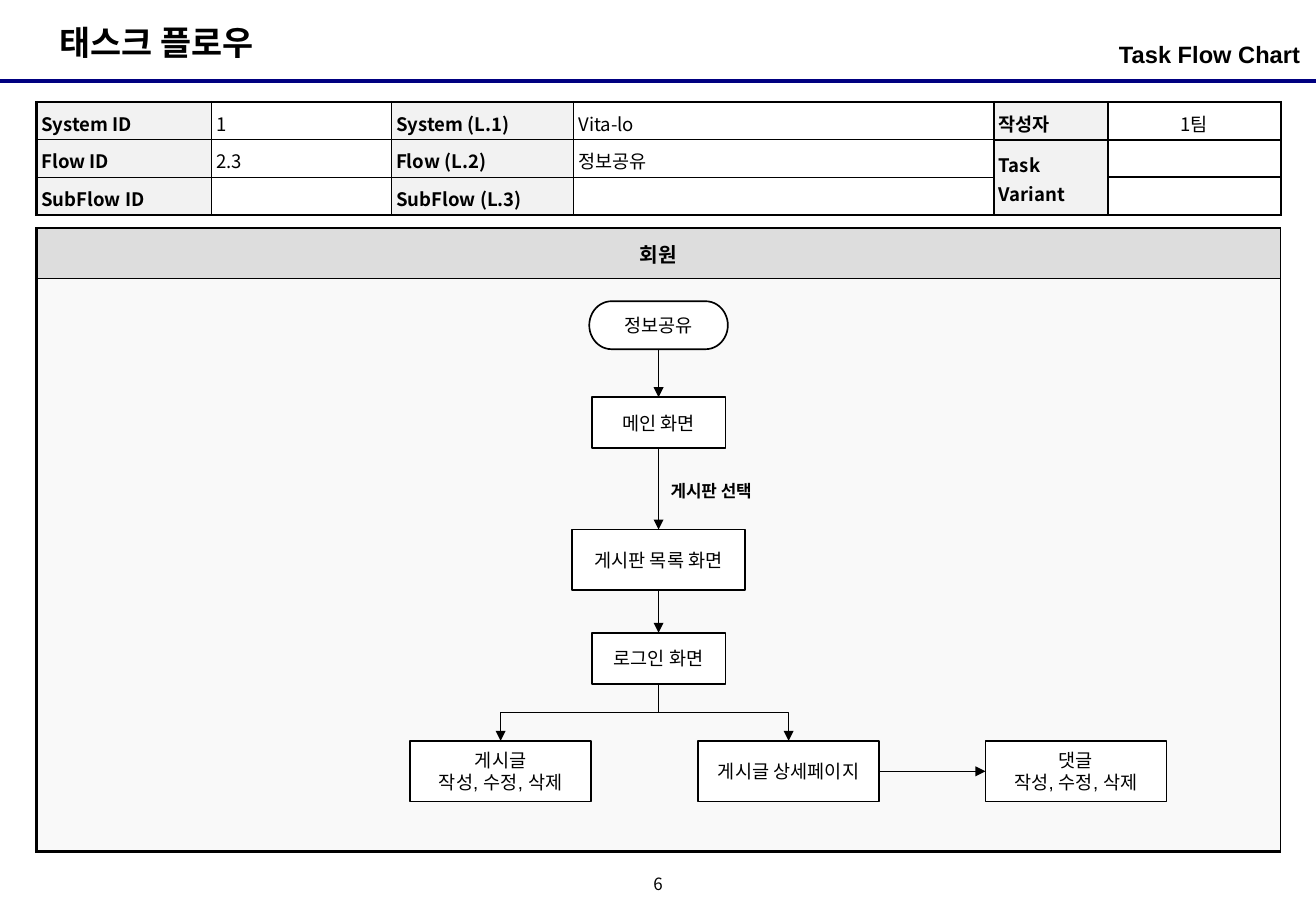
"""Build the task flow chart slide for the information sharing flow."""
import pptx
import pptx.dml.color
import pptx.enum.shapes
import pptx.enum.text
import pptx.oxml.ns
import pptx.util
from lxml import etree

BLACK = pptx.dml.color.RGBColor(0x00, 0x00, 0x00)
WHITE = pptx.dml.color.RGBColor(0xFF, 0xFF, 0xFF)
NAVY = pptx.dml.color.RGBColor(0x00, 0x00, 0x80)
LABEL_GRAY = pptx.dml.color.RGBColor(0xF2, 0xF2, 0xF2)
LANE_GRAY = pptx.dml.color.RGBColor(0xDD, 0xDD, 0xDD)
POOL_GRAY = pptx.dml.color.RGBColor(0xF9, 0xF9, 0xF9)

KOREAN = "Noto Sans CJK KR"
LATIN = "Arial"
COLUMNS, ROWS = 108.3, 75
UNIT = pptx.util.Inches(0.1)
TOP, BOTTOM, LEFT, RIGHT = 0, 2, 1, 3
ALIGN = pptx.enum.text.PP_ALIGN
ANCHOR = pptx.enum.text.MSO_ANCHOR
SHAPE = pptx.enum.shapes.MSO_SHAPE
CONNECTOR = pptx.enum.shapes.MSO_CONNECTOR


def grid(*steps):
    """Turn grid steps into slide lengths."""
    return [round(step * UNIT) for step in steps]


def add_tag(parent, tag, **attributes):
    """Append a DrawingML element to its parent."""
    return etree.SubElement(parent, pptx.oxml.ns.qn(tag), attributes)


def write(frame, text, size=11, font=KOREAN, bold=False, align=ALIGN.LEFT,
          anchor=ANCHOR.TOP, spacing=None, gap=(0, 0)):
    """Fill a text frame with one paragraph for each line of text."""
    frame.vertical_anchor = anchor
    for index, line in enumerate(text.split("\n")):
        paragraph = frame.add_paragraph() if index else frame.paragraphs[0]
        paragraph.alignment = align
        paragraph.line_spacing = spacing
        paragraph.space_before, paragraph.space_after = map(pptx.util.Pt, gap)
        if not line:
            add_tag(paragraph._p, "a:endParaRPr", sz=str(size * 100))
            continue
        run = paragraph.add_run()
        run.text = line
        run.font.size = pptx.util.Pt(size)
        run.font.name = font
        run.font.bold = bold
        run.font.color.rgb = BLACK
        add_tag(run.font._element, "a:ea", typeface=KOREAN)


class FlowSlide:
    """Hold the slide and draw its elements in one style."""

    def __init__(self, deck):
        self.slide = deck.slides.add_slide(deck.slide_layouts[6])
        self.shapes = self.slide.shapes

    def text(self, place, text, inset=(1, 0.5), wrap=True, **style):
        """Place a text box."""
        frame = self.shapes.add_textbox(*grid(*place)).text_frame
        frame.word_wrap = wrap
        frame.margin_left, frame.margin_top = grid(*inset)
        frame.margin_right, frame.margin_bottom = grid(*inset)
        write(frame, text, **style)

    def step(self, center, top, width, height, text, kind=SHAPE.RECTANGLE):
        """Place a flow step around its center column."""
        step = self.shapes.add_shape(kind, *grid(center - width / 2, top, width, height))
        step.shadow.inherit = False
        step.fill.solid()
        step.fill.fore_color.rgb = WHITE
        step.line.color.rgb = BLACK
        step.line.width = pptx.util.Pt(1)
        frame = step.text_frame
        frame.word_wrap = True
        frame.margin_left, frame.margin_top, frame.margin_right, frame.margin_bottom = grid(0.2, 0, 0.2, 0)
        write(frame, text, font=LATIN, align=ALIGN.CENTER, anchor=ANCHOR.MIDDLE)
        return step

    def line(self, ends=(0, 0, 0, 0), kind=CONNECTOR.STRAIGHT, color=BLACK, width=0.75, arrow=True):
        """Draw a line, with an arrowhead if wanted."""
        line = self.shapes.add_connector(kind, *grid(*ends))
        line.line.color.rgb = color
        line.line.width = pptx.util.Pt(width)
        if arrow:
            add_tag(line.line._get_or_add_ln(), "a:tailEnd", type="triangle")
        add_tag(line._element.spPr, "a:effectLst")
        return line

    def arrow(self, source, target, leave=BOTTOM, enter=TOP, kind=CONNECTOR.STRAIGHT):
        """Join two steps with an arrow."""
        arrow = self.line(kind=kind)
        arrow.begin_connect(source, leave)
        arrow.end_connect(target, enter)
        return arrow

    def branch(self, source, target):
        """Join two steps with an arrow that goes down, across and down."""
        arrow = self.arrow(source, target, kind=CONNECTOR.ELBOW)
        across, drop = arrow.end_x - arrow.begin_x, arrow.end_y - arrow.begin_y
        middle_x, middle_y = arrow.begin_x + across // 2, arrow.begin_y + drop // 2
        arrow.width, arrow.height = drop, abs(across)
        arrow.left, arrow.top = middle_x - drop // 2, middle_y - abs(across) // 2
        turn = arrow._element.spPr.find(pptx.oxml.ns.qn("a:xfrm"))
        turn.set("rot", str((90 if across < 0 else 270) * 60000))
        turn.set("flipH", "0" if across < 0 else "1")

    def table(self, left, top, widths, heights):
        """Place a plain table."""
        place = grid(left, top, sum(widths), sum(heights))
        table = self.shapes.add_table(len(heights), len(widths), *place).table
        table.first_row = table.horz_banding = False
        for column, width in zip(table.columns, grid(*widths)):
            column.width = width
        for row, height in zip(table.rows, grid(*heights)):
            row.height = height
        return table

    def cell(self, cell, fill, borders, text="", inset=(1, 0.5), **style):
        """Format a table cell; borders run left, right, top, bottom."""
        cell.margin_left, cell.margin_top = grid(*inset)
        cell.margin_right, cell.margin_bottom = grid(*inset)
        anchor = style.pop("anchor", ANCHOR.TOP)
        write(cell.text_frame, text, **style)
        cell.vertical_anchor = anchor
        properties = cell._tc.get_or_add_tcPr()
        for side, width in zip("LRTB", borders):
            edge = add_tag(properties, f"a:ln{side}", w=str(pptx.util.Pt(width)))
            add_tag(add_tag(edge, "a:solidFill"), "a:srgbClr", val=str(BLACK))
        cell.fill.solid()
        cell.fill.fore_color.rgb = fill


def draw_header(page):
    """Draw the title band and the table of flow details."""
    page.line((0, 6.7, COLUMNS, 6.7), color=NAVY, width=2.25, arrow=False)
    page.text((3.9, 1.3, 19.8, 4.4), "태스크 플로우", wrap=False, size=20, bold=True)
    page.text((73.9, 2.8, 33.1, 3.9), "Task Flow Chart", inset=(0, 0.5), size=14,
              font=LATIN, bold=True, align=ALIGN.RIGHT, gap=(2.8, 0))
    details = [
        ["System ID", "1", "System (L.1)", "Vita-lo", "작성자", "1팀"],
        ["Flow ID", "2.3", "Flow (L.2)", "정보공유", "Task Variant", ""],
        ["SubFlow ID", "", "SubFlow (L.3)", "", "", ""],
    ]
    table = page.table(3, 8.4, [14.4, 14.8, 15, 34.6, 9.4, 14.2], [3.1] * 3)
    table.cell(1, 4).merge(table.cell(2, 4))
    for row, values in enumerate(details):
        for column, value in enumerate(values):
            is_label = column % 2 == 0
            is_author = column >= 4
            borders = (1 if column else 1.5, 1.5 if column == 5 else 1,
                       1.5 if is_author or row == 0 else 1,
                       1.5 if is_author or row == 2 else 1)
            page.cell(table.cell(row, column), LABEL_GRAY if is_label else WHITE, borders,
                      value, inset=(0.4, 0.4), bold=is_label, spacing=1.1, gap=(1.1, 1.1),
                      align=ALIGN.CENTER if column == 5 else ALIGN.LEFT,
                      anchor=ANCHOR.MIDDLE if is_author else ANCHOR.TOP)


def draw_flow(page):
    """Draw the member lane with its steps and arrows."""
    lane = page.table(3, 18.8, [102.4], [4.1, 47.2])
    page.cell(lane.cell(0, 0), LANE_GRAY, (1.5, 0.75, 1.5, 0.75), "회원", size=12,
              bold=True, align=ALIGN.CENTER, anchor=ANCHOR.MIDDLE)
    page.cell(lane.cell(1, 0), POOL_GRAY, (1.5, 0.75, 0.75, 1.5))

    trunk = 54.2
    start = page.step(trunk, 24.8, 11.4, 3.95, "정보공유", SHAPE.FLOWCHART_TERMINATOR)
    main_screen = page.step(trunk, 32.7, 11, 4.2, "메인 화면")
    board_list = page.step(trunk, 43.6, 14.2, 5, "게시판 목록 화면")
    login = page.step(trunk, 52.1, 11, 4.2, "로그인 화면")
    post, post_detail, comment = [
        page.step(center, 61, 14.9, 5, text) for center, text in [
            (41.2, "게시글\n작성, 수정, 삭제"),
            (64.9, "게시글 상세페이지"),
            (88.55, "댓글\n작성, 수정, 삭제"),
        ]]

    trunk_steps = [start, main_screen, board_list, login]
    for source, target in zip(trunk_steps, trunk_steps[1:]):
        page.arrow(source, target)
    for target in (post, post_detail):
        page.branch(login, target)
    page.arrow(post_detail, comment, RIGHT, LEFT)
    page.text((trunk, 39.1, 12.4, 2.7), "게시판 선택", size=10, bold=True)


def main():
    """Build and save the deck."""
    deck = pptx.Presentation()
    deck.slide_width, deck.slide_height = grid(COLUMNS, ROWS)
    page = FlowSlide(deck)
    draw_header(page)
    draw_flow(page)
    page.text((52.5, 71.7, 3.3, 2.5), "6", inset=(0, 0), wrap=False, size=10,
              align=ALIGN.CENTER, anchor=ANCHOR.MIDDLE, spacing=0.8)
    deck.save("out.pptx")


if __name__ == "__main__":
    main()
